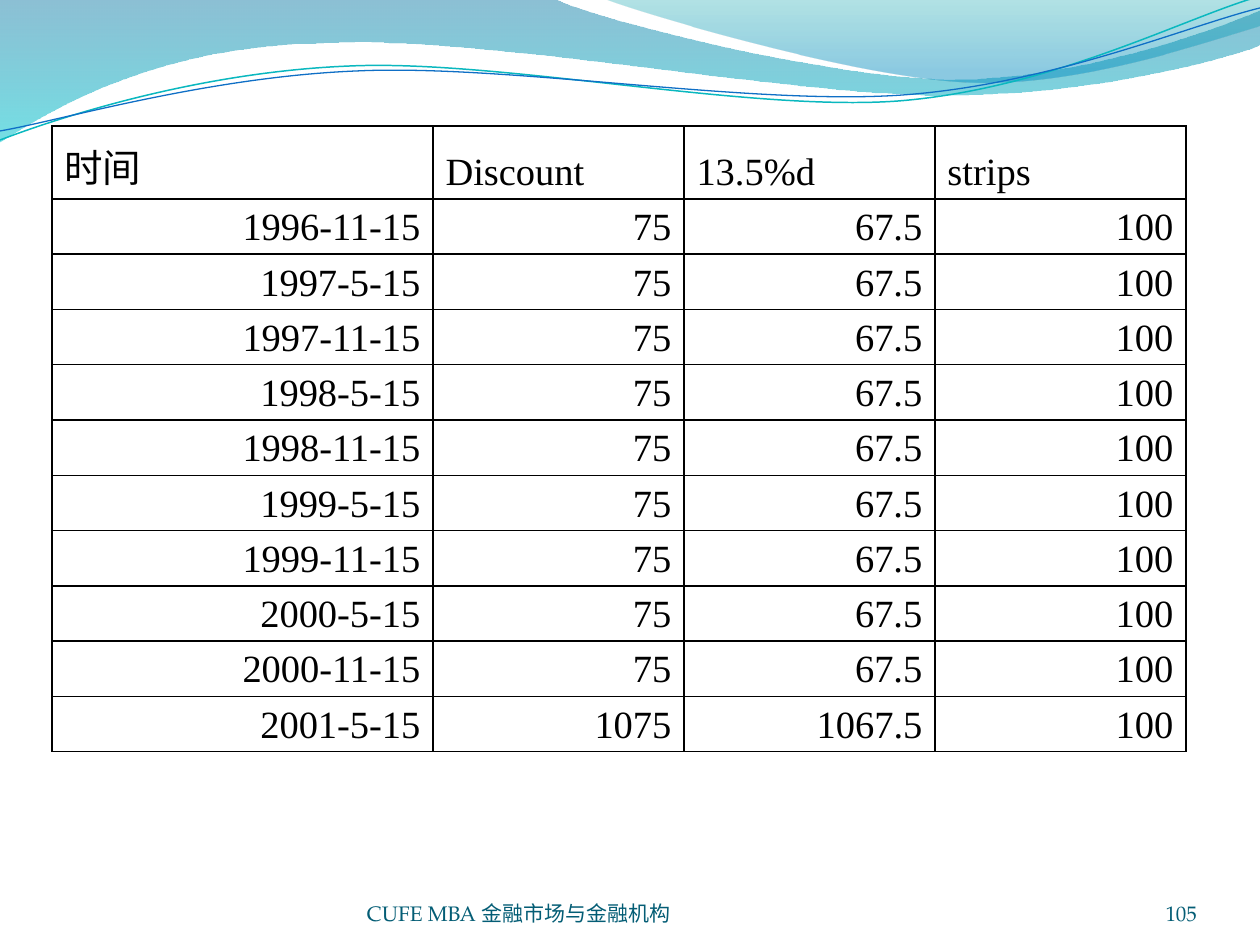
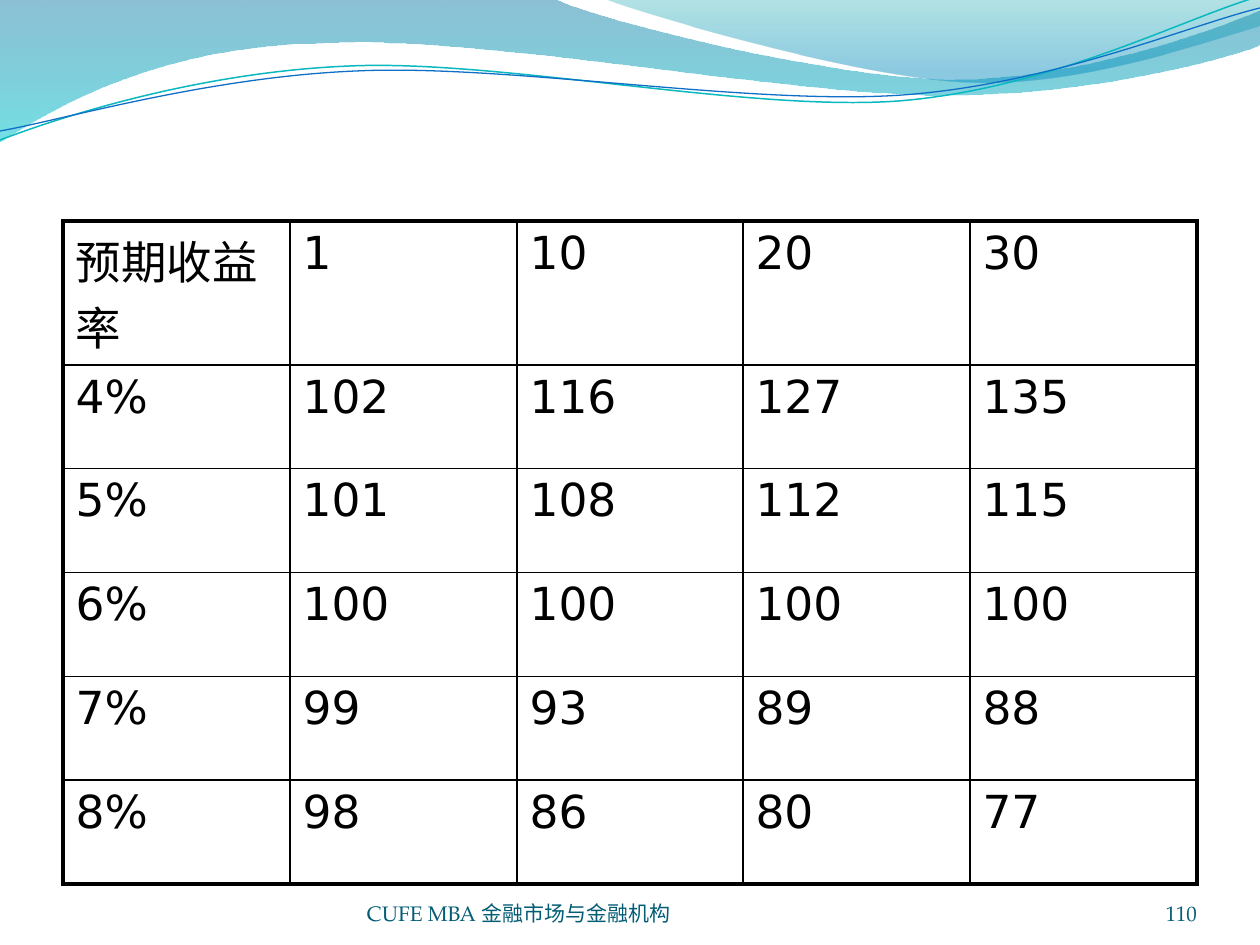
from lxml import etree
from pptx import Presentation
from pptx.dml.color import RGBColor
from pptx.enum.text import MSO_ANCHOR as Anchor, PP_ALIGN as Align
from pptx.oxml import parse_xml
from pptx.oxml.ns import nsdecls, qn
from pptx.util import Emu, Pt

SCALE = 9144000 / 1260
BLACK, FOOTER_INK = "000000", "045D75"
FOOTER_FONT = "TeX Gyre Pagella"
COURSE = "CUFE MBA 金融市场与金融机构"

# Each step is one point (straight) or three points (curve).
BANDS = [
    {"start": (0, 0),
     "steps": [[(554, -1)],
               [(600, 21), (837, 79), (955, 79)],
               [(1075, 79), (1207, 33), (1260, 11)],
               [(1261, 45)],
               [(1239, 55), (1096, 96), (940, 95)],
               [(784, 95), (481, 35), (324, 43)],
               [(163, 45), (58, 105), (-1, 142)],
               [(0, 0)]],
     "stops": [(0, "0074A1", 45), (100, "00C6CF", 55)]},
    {"start": (604, -1),
     "steps": [[(641, 14), (859, 78), (969, 82)],
               [(1079, 87), (1211, 40), (1260, 26)],
               [(1260, 0)],
               [(604, -1)]],
     "stops": [(0, "00A1A9", 30), (80, "008BBF", 45)]},
]
WAVES = [
    {"start": (0, 140),
     "steps": [[(60, 117), (199, 72), (349, 66)],
               [(498, 59), (747, 112), (898, 101)],
               [(1050, 89), (1182, 19), (1257, -3)]],
     "line": ("0AB8BF", 0.85)},
    {"start": (0, 131),
     "steps": [[(59, 121), (207, 77), (357, 71)],
               [(508, 64), (752, 106), (903, 95)],
               [(1053, 84), (1187, 26), (1260, 8)]],
     "line": ("0F6FC6", 0.75)},
]

COUPON_DATES = [f"{year}-{day}" for year in range(1996, 2002)
                for day in ("5-15", "11-15")][1:-1]
CASH_FLOWS = {
    "page": "105",
    "rows": [["时间", "Discount", "13.5%d", "strips"],
             *[[date, "75", "67.5", "100"] for date in COUPON_DATES[:-1]],
             [COUPON_DATES[-1], "1075", "1067.5", "100"]],
    "left": 52, "top": 126, "bottom": 752, "head": 73,
    "columns": [381, 251, 251, 251], "inset": 5,
    "font": "Times New Roman", "size": 22, "outer": 1,
    "anchor": Anchor.BOTTOM, "body_align": Align.RIGHT,
}
BOND_PRICES = {
    "page": "110",
    "rows": [["预期收益率", "1", "10", "20", "30"],
             ["4%", "102", "116", "127", "135"],
             ["5%", "101", "108", "112", "115"],
             ["6%", "100", "100", "100", "100"],
             ["7%", "99", "93", "89", "88"],
             ["8%", "98", "86", "80", "77"]],
    "left": 63, "top": 221, "bottom": 884, "head": 144,
    "columns": [227, 227, 226, 227, 227], "inset": 6,
    "font": "DejaVu Sans", "size": 26, "outer": 2.25,
    "anchor": Anchor.TOP, "body_align": Align.LEFT,
}


def px(length):
    return Emu(round(length * SCALE))


def color(hex_code):
    return RGBColor.from_string(hex_code)


def style(paragraph, font, size, ink, align):
    paragraph.alignment = align
    paragraph.font.name = font
    paragraph.font.size = Pt(size)
    paragraph.font.color.rgb = color(ink)


def add_outline(slide, start, steps, close):
    """Add a freeform whose three-point steps are cubic curves."""
    builder = slide.shapes.build_freeform(px(start[0]), px(start[1]), scale=1.0)
    builder.add_line_segments([(px(x), px(y)) for step in steps for x, y in step], close=close)
    outline = builder.convert_to_shape()
    segments = iter(list(outline.element.iter(qn("a:lnTo"))))
    for step in steps:
        segment = next(segments)
        if len(step) == 3:
            segment.tag = qn("a:cubicBezTo")
            for _ in range(2):
                control = next(segments)
                segment.append(control[0])
                control.getparent().remove(control)
    outline.shadow.inherit = False
    outline.fill.background()
    return outline


def add_band(slide, start, steps, stops):
    band = add_outline(slide, start, steps, True)
    band.line.fill.background()
    stop_xml = "".join(
        f'<a:gs pos="{place * 1000}"><a:srgbClr val="{ink}">'
        f'<a:alpha val="{opacity * 1000}"/></a:srgbClr></a:gs>'
        for place, ink, opacity in stops)
    gradient = parse_xml(f'<a:gradFill {nsdecls("a")} rotWithShape="1"><a:gsLst>{stop_xml}'
                         '</a:gsLst><a:lin ang="5400000" scaled="0"/></a:gradFill>')
    properties = band.element.spPr
    properties.replace(properties.find(qn("a:noFill")), gradient)
    return band


def add_wave(slide, start, steps, line):
    wave = add_outline(slide, start, steps, False)
    ink, width = line
    wave.line.color.rgb = color(ink)
    wave.line.width = Pt(width)
    return wave


def decorate(layout, slide):
    """Draw the header on the slide, then move it to the shared layout."""
    for placeholder in list(layout.placeholders):
        placeholder.element.getparent().remove(placeholder.element)
    header = [add_band(slide, **band) for band in BANDS]
    header += [add_wave(slide, **wave) for wave in WAVES]
    for outline in header:
        layout.element.cSld.spTree.append(outline.element)


def add_footer(slide, text, left, width, align):
    box = slide.shapes.add_textbox(px(left), px(876), px(width), px(50))
    frame = box.text_frame
    frame.word_wrap = True
    frame.vertical_anchor = Anchor.BOTTOM
    frame.margin_left = frame.margin_right = frame.margin_top = frame.margin_bottom = 0
    frame.text = text
    style(frame.paragraphs[0], FOOTER_FONT, 12, FOOTER_INK, align)


def set_borders(cell, widths):
    """Draw the left, right, top and bottom borders with widths in points."""
    properties = cell._tc.get_or_add_tcPr()
    for place, (side, width) in enumerate(zip("LRTB", widths)):
        border = etree.Element(qn(f"a:ln{side}"), w=str(Pt(width)))
        fill = etree.SubElement(border, qn("a:solidFill"))
        etree.SubElement(fill, qn("a:srgbClr"), val=BLACK)
        properties.insert(place, border)


def add_grid(slide, grid):
    rows, columns = grid["rows"], grid["columns"]
    height = grid["bottom"] - grid["top"]
    table = slide.shapes.add_table(len(rows), len(columns), px(grid["left"]), px(grid["top"]),
                                   px(sum(columns)), px(height)).table
    table.first_row = table.horz_banding = False
    for column, width in zip(table.columns, columns):
        column.width = px(width)
    body_height = (height - grid["head"]) / (len(rows) - 1)
    last_row, last_column = len(rows) - 1, len(columns) - 1
    for r, texts in enumerate(rows):
        table.rows[r].height = px(body_height if r else grid["head"])
        for c, text in enumerate(texts):
            cell = table.cell(r, c)
            cell.text = text
            cell.vertical_anchor = grid["anchor"]
            cell.margin_top = cell.margin_bottom = px(grid["inset"])
            cell.fill.background()
            style(cell.text_frame.paragraphs[0], grid["font"], grid["size"], BLACK,
                  grid["body_align"] if r else Align.LEFT)
            on_edge = (c == 0, c == last_column, r == 0, r == last_row)
            set_borders(cell, [grid["outer"] if edge else 1 for edge in on_edge])


def main():
    deck = Presentation()
    deck.slide_width, deck.slide_height = px(1260), px(945)
    layout = deck.slide_layouts[6]
    grids = [CASH_FLOWS, BOND_PRICES]
    slides = [deck.slides.add_slide(layout) for _ in grids]
    decorate(layout, slides[0])
    for slide, grid in zip(slides, grids):
        add_grid(slide, grid)
        add_footer(slide, COURSE, 367, 462, Align.LEFT)
        add_footer(slide, grid["page"], 1092, 105, Align.RIGHT)
    deck.save("out.pptx")


if __name__ == "__main__":
    main()
